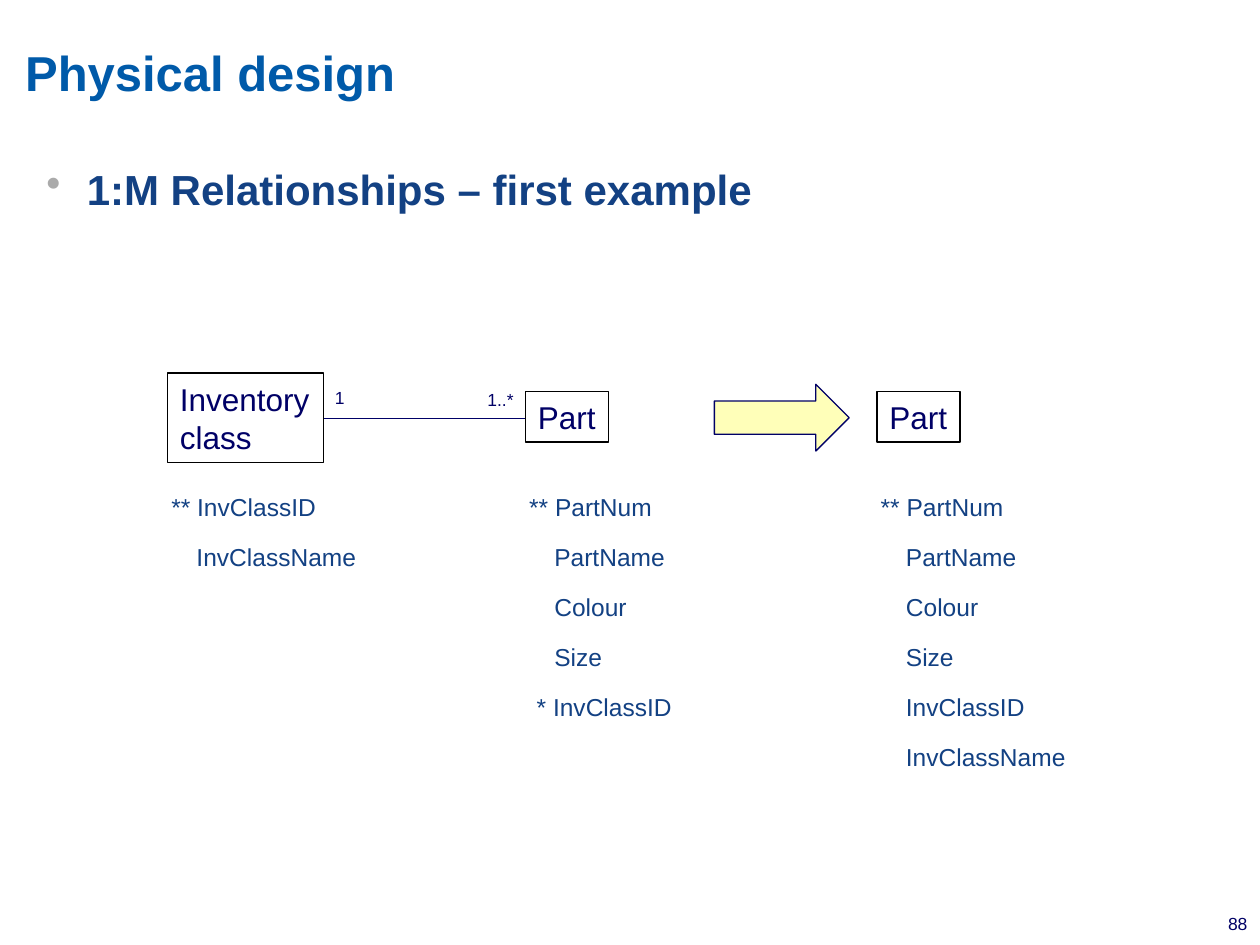
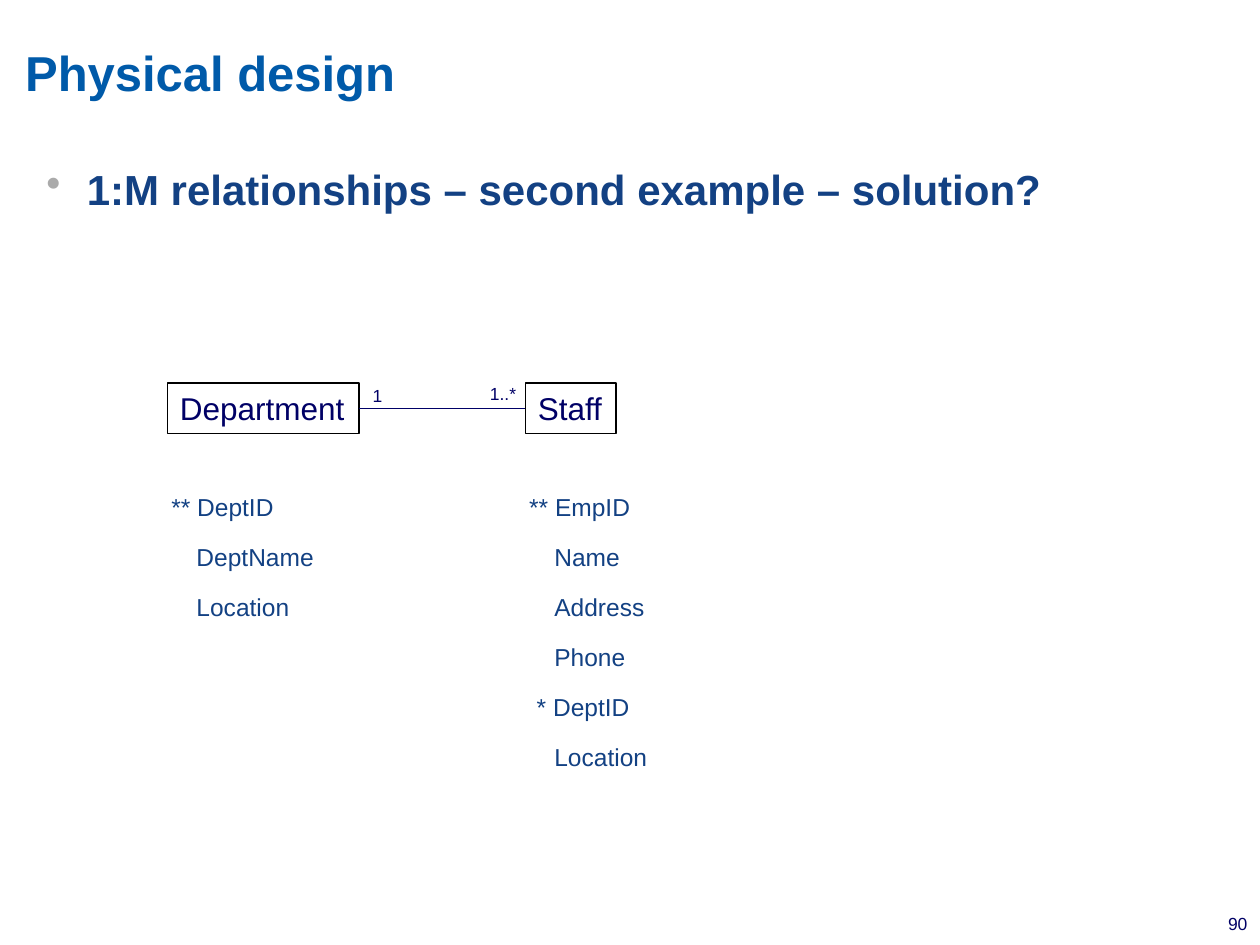
"""Build two slides on the physical design of one-to-many relationships."""
from dataclasses import dataclass

from lxml import etree
from pptx import Presentation
from pptx import util as u
from pptx.dml.color import RGBColor
from pptx.enum import shapes, text
from pptx.oxml import ns

FONT = "Arial"
COLOURS = {
    "title": "005AA9",
    "body": "134183",
    "ink": "000066",
    "bullet": "AAAAAA",
    "border": "000000",
    "arrow": "FFFFB9",
}
ATTRIBUTE_TOP = 3.74
ATTRIBUTE_PITCH = 28.57
KEY_INDENTS = {"**": 0, "*": 0.06, "": 0.2}


@dataclass(frozen=True)
class Entity:
    """A boxed entity with its attributes listed below it."""
    name: str
    left: float
    top: float
    width: float
    height: float
    attributes: tuple[str, ...]


@dataclass(frozen=True)
class Multiplicity:
    """A label at one end of a relationship."""
    label: str
    left: float
    top: float
    width: float


@dataclass(frozen=True)
class Example:
    """The content of one slide."""
    number: str
    heading: str
    entities: tuple[Entity, ...]
    multiplicities: tuple[Multiplicity, ...]
    link_y: float
    has_arrow: bool = False


EXAMPLES = (
    Example(
        "88", "1:M Relationships – first example",
        (
            Entity("Inventory\nclass", 1.33, 2.96, 1.24, 0.71,
                   ("** InvClassID", "InvClassName")),
            Entity("Part", 4.17, 3.11, 0.66, 0.4,
                   ("** PartNum", "PartName", "Colour", "Size", "* InvClassID")),
            Entity("Part", 6.96, 3.11, 0.66, 0.4,
                   ("** PartNum", "PartName", "Colour", "Size",
                    "InvClassID", "InvClassName")),
        ),
        (Multiplicity("1", 2.56, 3.02, 0.28), Multiplicity("1..*", 3.77, 3.04, 0.41)),
        3.32, True,
    ),
    Example(
        "90", "1:M relationships – second example – solution?",
        (
            Entity("Department", 1.33, 3.04, 1.52, 0.4,
                   ("** DeptID", "DeptName", "Location")),
            Entity("Staff", 4.17, 3.04, 0.72, 0.4,
                   ("** EmpID", "Name", "Address", "Phone", "* DeptID", "Location")),
        ),
        (Multiplicity("1", 2.86, 3.01, 0.28), Multiplicity("1..*", 3.79, 2.99, 0.41)),
        3.24,
    ),
)


def colour(name: str) -> RGBColor:
    """Return a palette colour."""
    return RGBColor.from_string(COLOURS[name])


def place(left: float, top: float, width: float, height: float) -> tuple:
    """Turn a position in inches into lengths."""
    return tuple(u.Inches(value) for value in (left, top, width, height))


def write(frame, content: str, size: float, tint: str, bold: bool = False) -> None:
    """Set the text of a frame and format its runs."""
    frame.text = content
    for paragraph in frame.paragraphs:
        paragraph.alignment = text.PP_ALIGN.LEFT
        for run in paragraph.runs:
            run.font.name = FONT
            run.font.size = u.Pt(size)
            run.font.bold = bold
            run.font.color.rgb = colour(tint)


def set_margins(frame, left: float, top: float, right: float, bottom: float) -> None:
    """Set the inner margins of a frame in inches."""
    frame.margin_left, frame.margin_top, frame.margin_right, frame.margin_bottom = (
        place(left, top, right, bottom))


def draw_line_style(line, tint: str) -> None:
    """Give a line the diagram's weight and a colour."""
    line.color.rgb = colour(tint)
    line.width = u.Pt(0.75)


def add_text(slide, box: tuple, content: str, size: float, tint: str,
             bold: bool = False, wrap: bool = True):
    """Add a text box and return its frame."""
    frame = slide.shapes.add_textbox(*place(*box)).text_frame
    frame.word_wrap = wrap
    write(frame, content, size, tint, bold)
    return frame


def add_title(slide) -> None:
    """Move and format the title placeholder."""
    title = slide.shapes.title
    title.left, title.top, title.width, title.height = place(0, 0, 10, 1.08)
    frame = title.text_frame
    write(frame, "Physical design", 28, "title", True)
    frame.auto_size = text.MSO_AUTO_SIZE.NONE
    frame.vertical_anchor = text.MSO_ANCHOR.MIDDLE
    set_margins(frame, 0.2, 0.2, 1.97, 0.14)


def add_heading(slide, heading: str) -> None:
    """Add the bulleted heading."""
    frame = add_text(slide, (0.27, 1.19, 9.52, 0.6), heading, 24, "body", True)
    paragraph = frame.paragraphs[0]
    properties = paragraph._p.get_or_add_pPr()
    properties.set("marL", str(u.Inches(0.32)))
    properties.set("indent", str(-u.Inches(0.32)))
    paragraph.line_spacing = u.Pt(33)
    tint = etree.SubElement(properties, ns.qn("a:buClr"))
    etree.SubElement(tint, ns.qn("a:srgbClr"), val=COLOURS["bullet"])
    etree.SubElement(properties, ns.qn("a:buChar"), char="•")


def add_page_number(slide, number: str) -> None:
    """Add the page number at the bottom right."""
    frame = add_text(slide, (6.4, 7.2, 3.5, 0.17), number, 10, "ink")
    set_margins(frame, 0, 0.05, 0, 0.05)
    frame.paragraphs[0].alignment = text.PP_ALIGN.RIGHT


def add_entity(slide, entity: Entity) -> None:
    """Draw an entity box and its attribute list."""
    box = slide.shapes.add_shape(
        shapes.MSO_SHAPE.RECTANGLE,
        *place(entity.left, entity.top, entity.width, entity.height))
    box.shadow.inherit = False
    box.fill.background()
    draw_line_style(box.line, "border")
    write(box.text_frame, entity.name, 18, "ink")
    box.text_frame.word_wrap = False

    height = len(entity.attributes) * 0.4
    frame = add_text(slide, (entity.left + 0.03, ATTRIBUTE_TOP, 2, height),
                     "\n".join(entity.attributes), 14, "body")
    set_margins(frame, 0, 0, 0, 0)
    for paragraph in frame.paragraphs:
        key = paragraph.text.rpartition(" ")[0]
        paragraph._p.get_or_add_pPr().set("marL", str(u.Inches(KEY_INDENTS[key])))
        paragraph.line_spacing = u.Pt(ATTRIBUTE_PITCH)


def add_relationship(slide, example: Example) -> None:
    """Link the first two entities and label both ends."""
    one, many = example.entities[:2]
    link = slide.shapes.add_connector(
        shapes.MSO_CONNECTOR.STRAIGHT,
        *place(one.left + one.width, example.link_y, many.left, example.link_y))
    draw_line_style(link.line, "ink")
    etree.SubElement(link._element.spPr, ns.qn("a:effectLst"))
    for end in example.multiplicities:
        add_text(slide, (end.left, end.top, end.width, 0.27),
                 end.label, 10, "ink", wrap=False)


def add_arrow(slide) -> None:
    """Draw the block arrow that leads to the resulting entity."""
    arrow = slide.shapes.add_shape(
        shapes.MSO_SHAPE.RIGHT_ARROW, *place(5.67, 3.05, 1.07, 0.53))
    arrow.shadow.inherit = False
    arrow.fill.solid()
    arrow.fill.fore_color.rgb = colour("arrow")
    draw_line_style(arrow.line, "ink")


def main() -> None:
    """Build and save the presentation."""
    deck = Presentation()
    deck.slide_width, deck.slide_height = u.Inches(10), u.Inches(7.5)
    title_only = deck.slide_layouts[5]
    for example in EXAMPLES:
        slide = deck.slides.add_slide(title_only)
        add_title(slide)
        add_heading(slide, example.heading)
        for entity in example.entities:
            add_entity(slide, entity)
        add_relationship(slide, example)
        if example.has_arrow:
            add_arrow(slide)
        add_page_number(slide, example.number)
    deck.save("out.pptx")


if __name__ == "__main__":
    main()
